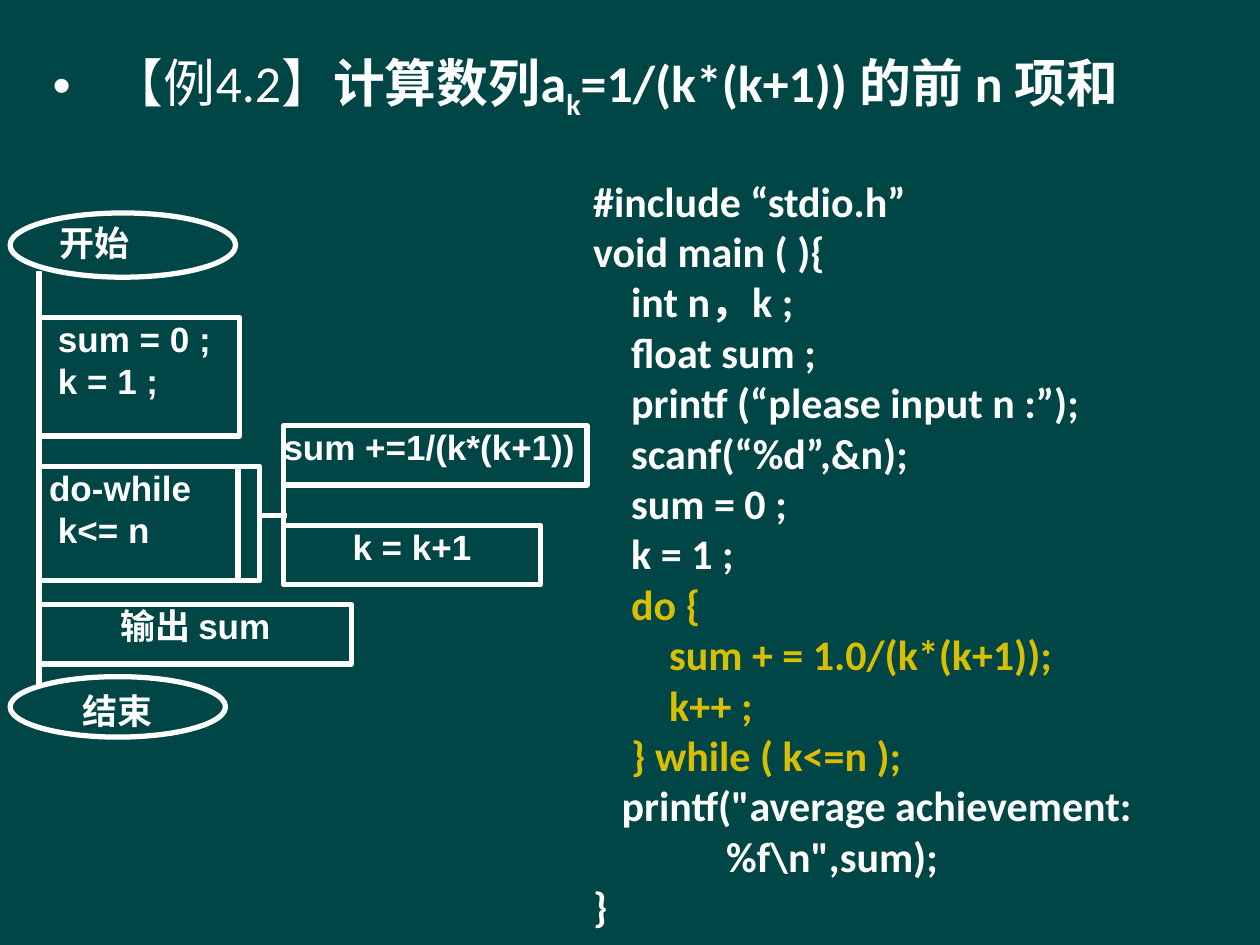
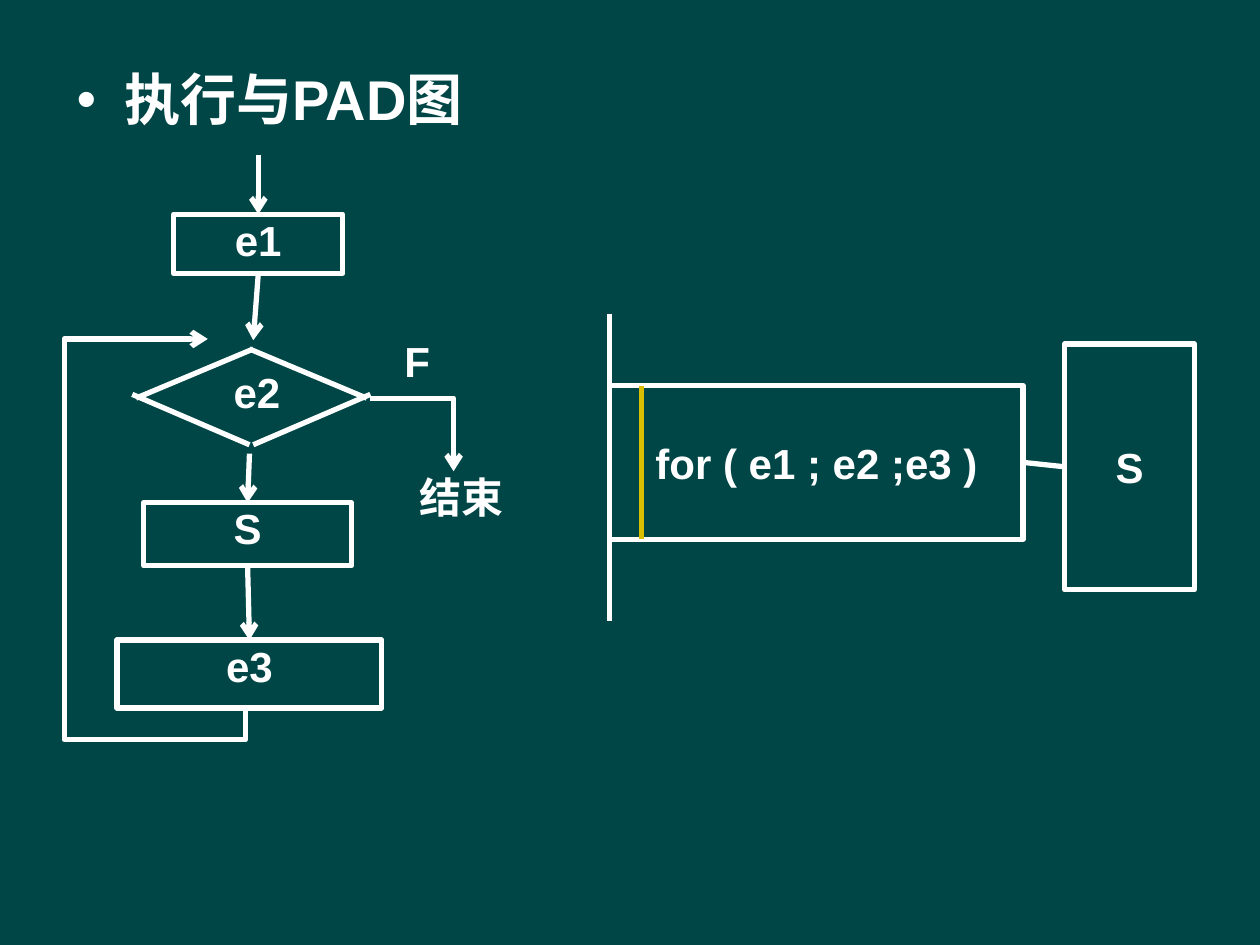
import pptx
import pptx.dml.color
import pptx.enum.shapes
import pptx.enum.text
import pptx.oxml.ns
import pptx.util
from lxml import etree

WHITE = pptx.dml.color.RGBColor(0xFF, 0xFF, 0xFF)
GOLD = pptx.dml.color.RGBColor(0xD9, 0xBE, 0x02)
TEAL = pptx.dml.color.RGBColor(0x00, 0x46, 0x46)

# The slide is a grid of 100 columns by 75 rows
COLUMNS, ROWS = 100, 75
WIDTH, HEIGHT = pptx.util.Inches(10), pptx.util.Inches(7.5)

SHAPES = pptx.enum.shapes.MSO_SHAPE
ANCHOR = pptx.enum.text.MSO_ANCHOR
LEFT = pptx.enum.text.PP_ALIGN.LEFT
CENTER = pptx.enum.text.PP_ALIGN.CENTER
TOP_SIDE, LEFT_SIDE, BOTTOM_SIDE, RIGHT_SIDE = range(4)

NO_MARGINS = {"margin_left": 0, "margin_top": 0, "margin_right": 0, "margin_bottom": 0}
LABEL = {"name": "Arial", "size": pptx.util.Pt(20), "bold": True}
BIG_LABEL = {**LABEL, "size": pptx.util.Pt(24)}
CODE = {"name": "Calibri", "size": pptx.util.Pt(24), "bold": True}
HEADING = {"name": "Calibri", "size": pptx.util.Pt(29.6)}

CODE_BEFORE_LOOP = """#include “stdio.h”
void main ( ){
    int n，k ;
    float sum ;
    printf (“please input n :”);
    scanf(“%d”,&n);
    sum = 0 ;
    k = 1 ;"""
CODE_LOOP = """    do {
        sum + = 1.0/(k*(k+1));
        k++ ;
    } while ( k<=n );"""
CODE_AFTER_LOOP = """   printf("average achievement:
              %f\\n",sum);
}"""


def column(count):
    return round(WIDTH * count / COLUMNS)


def row(count):
    return round(HEIGHT * count / ROWS)


def place(area):
    left, top, width, height = area
    return column(left), row(top), column(width), row(height)


def apply(target, values):
    for name, value in values.items():
        setattr(target, name, value)


def add_child(parent, tag, **attributes):
    return etree.SubElement(parent, pptx.oxml.ns.qn(tag), attributes)


def add_run(paragraph, text, style, color=WHITE):
    run = paragraph.add_run()
    run.text = text
    apply(run.font, style)
    run.font.color.rgb = color
    return run


def write_lines(frame, lines, style, align=LEFT):
    """Each line is its text, its colour and its indent in columns."""
    for index, (text, color, indent) in enumerate(lines):
        paragraph = frame.add_paragraph() if index else frame.paragraphs[0]
        paragraph.alignment = align
        if indent:
            paragraph._p.get_or_add_pPr().set("marL", str(column(indent)))
        add_run(paragraph, text, style, color)


def add_slide(presentation):
    slide = presentation.slides.add_slide(presentation.slide_layouts[6])
    slide.background.fill.solid()
    slide.background.fill.fore_color.rgb = TEAL
    return slide


def add_title(slide, area, runs, indent, line_spacing=1.0):
    """Each run is its text, its font values and its baseline shift."""
    frame = slide.shapes.add_textbox(*place(area)).text_frame
    frame.word_wrap = True
    paragraph = frame.paragraphs[0]
    paragraph.line_spacing = line_spacing
    properties = paragraph._p.get_or_add_pPr()
    properties.set("marL", str(column(indent)))
    properties.set("indent", str(-column(indent)))
    add_child(add_child(properties, "a:buClr"), "a:srgbClr", val=str(WHITE))
    add_child(properties, "a:buFont", typeface="Arial")
    add_child(properties, "a:buChar", char="•")
    for text, style, baseline in runs:
        run = add_run(paragraph, text, style)
        if baseline:
            run._r.get_or_add_rPr().set("baseline", str(baseline * 1000))


def add_label(slide, area, text, style, align=CENTER):
    frame = slide.shapes.add_textbox(*place(area)).text_frame
    apply(frame, {**NO_MARGINS, "word_wrap": True})
    write_lines(frame, [(text, WHITE, 0)], style, align)


def add_outline(slide, area, kind=SHAPES.RECTANGLE):
    shape = slide.shapes.add_shape(kind, *place(area))
    shape.fill.background()
    shape.shadow.inherit = False
    draw_line(shape)
    return shape


def add_box(slide, area, lines, style, align=CENTER, anchor=ANCHOR.TOP):
    """Each line is its text and its indent in columns."""
    shape = add_outline(slide, area)
    apply(shape.text_frame, {**NO_MARGINS, "word_wrap": True, "vertical_anchor": anchor})
    colored = [(text, WHITE, indent) for text, indent in lines]
    write_lines(shape.text_frame, colored, style, align)
    return shape


def draw_line(shape, color=WHITE, arrow=False):
    shape.line.color.rgb = color
    shape.line.width = pptx.util.Pt(3)
    if arrow:
        line = shape._element.spPr.find(pptx.oxml.ns.qn("a:ln"))
        add_child(line, "a:tailEnd", type="arrow")


def add_line(slide, start, end, color=WHITE, arrow=False):
    """Each end is a grid point or a pair of a shape and its side."""
    joined = [not isinstance(point[0], (int, float)) for point in (start, end)]
    free = [(0, 0) if join else point for join, point in zip(joined, (start, end))]
    connector = slide.shapes.add_connector(
        pptx.enum.shapes.MSO_CONNECTOR.STRAIGHT,
        *[place_one(count) for point in free for place_one, count in zip((column, row), point)])
    if joined[0]:
        connector.begin_connect(*start)
    if joined[1]:
        connector.end_connect(*end)
    draw_line(connector, color, arrow)
    add_child(connector._element.spPr, "a:effectLst")


def add_bent_arrow(slide, points):
    start, *others = [(column(x), row(y)) for x, y in points]
    builder = slide.shapes.build_freeform(*start)
    builder.add_line_segments(others, close=False)
    shape = builder.convert_to_shape()
    shape.fill.background()
    shape.shadow.inherit = False
    draw_line(shape, arrow=True)


def build_series_slide(presentation):
    slide = add_slide(presentation)
    bold = {**HEADING, "bold": True}
    add_title(slide, (3.2, 3.5, 94.7, 9.8), [
        ("【例4.2】", HEADING, 0), ("计算数列a", bold, 0),
        ("k", bold, -25), ("=1/(k*(k+1)) 的前 n 项和", bold, 0)], indent=4.7)

    # Problem analysis diagram: the trunk with its steps
    trunk = 3.1
    add_box(slide, (trunk, 25.2, 15.9, 9.4), [("sum = 0 ;", 1.5), ("k = 1 ;", 1.5)], LABEL, LEFT)
    add_box(slide, (trunk, 37, 17.5, 9.1), [("do-while", 0.8), ("k<= n", 1.5)], LABEL, LEFT)
    add_line(slide, (18.9, 37), (18.9, 46.1))
    add_box(slide, (trunk, 48, 24.8, 4.7), [("输出 sum", 0)], LABEL)
    add_line(slide, (trunk, 21.5), (trunk, 54.3))

    # Start and end
    add_label(slide, (4.7, 17.6, 16.2, 3.8), "开始", LABEL, LEFT)
    add_outline(slide, (0.8, 16.9, 17.9, 5.1), SHAPES.OVAL)
    add_label(slide, (0.8, 54.7, 17.1, 5), "结束", LABEL)
    add_outline(slide, (0.8, 53.7, 17.1, 4.8), SHAPES.OVAL)

    # Loop body
    body = 22.5
    add_line(slide, (20.6, 40.9), (22.8, 40.9))
    add_box(slide, (body, 33.8, 24.1, 4.7), [("sum +=1/(k*(k+1))", 0)], LABEL, LEFT)
    add_box(slide, (body, 41.7, 20.4, 4.7), [("k = k+1", 0)], LABEL)
    add_line(slide, (body, 46.4), (body, 33.8))

    # Program
    frame = slide.shapes.add_textbox(*place((46.1, 13.4, 53.6, 61))).text_frame
    frame.word_wrap = True
    parts = ((CODE_BEFORE_LOOP, WHITE), (CODE_LOOP, GOLD), (CODE_AFTER_LOOP, WHITE))
    lines = [(line, color, 0) for part, color in parts for line in part.split("\n")]
    write_lines(frame, lines, CODE)


def build_for_slide(presentation):
    slide = add_slide(presentation)
    title = {**LABEL, "size": pptx.util.Pt(32)}
    add_title(slide, (5.1, 5.2, 90, 6.3), [("执行与PAD图", title, 0)],
              indent=3.8, line_spacing=0.9)

    # Flowchart steps
    first, statement, third = [
        add_box(slide, area, [(text, 0)], BIG_LABEL) for text, area in (
            ("e1", (13.8, 17, 13.4, 4.7)),
            ("S", (11.4, 39.9, 16.5, 5)),
            ("e3", (9.3, 50.8, 21, 5.4)))]

    # Decision: four strokes that cross a little at the corners
    add_label(slide, (15.9, 29.1, 9, 4.7), "e2", BIG_LABEL)
    middle, overlap = 19.95, 0.15
    for side in (-1, 1):
        add_line(slide, (middle - side * overlap, 27.7), (middle + side * 9.15, 31.6))
        add_line(slide, (middle + side * overlap, 35.3), (middle + side * 9.45, 31.3))

    # Flow
    for start, end in (
            ((20.5, 12.3), (first, TOP_SIDE)),
            ((first, BOTTOM_SIDE), (20.1, 27)),
            ((19.8, 36), (statement, TOP_SIDE)),
            ((statement, BOTTOM_SIDE), (third, TOP_SIDE))):
        add_line(slide, start, end, arrow=True)
    add_bent_arrow(slide, [(19.5, 56.2), (19.5, 58.7), (5.1, 58.7), (5.1, 26.9), (16.5, 26.9)])
    add_bent_arrow(slide, [(29.4, 31.6), (36, 31.6), (36, 37.4)])
    add_label(slide, (32.1, 26.6, 4.5, 4.4), "F", BIG_LABEL, LEFT)
    add_label(slide, (32.7, 37.4, 7.8, 6.5), "结束", BIG_LABEL)

    # Problem analysis diagram of the loop
    loop = add_box(slide, (48.4, 30.6, 32.8, 12.2), [("for ( e1 ; e2 ;e3 )", 0)],
                   BIG_LABEL, anchor=ANCHOR.MIDDLE)
    add_line(slide, (50.9, 30.6), (50.9, 42.8), GOLD)
    add_line(slide, (48.4, 24.9), (48.4, 49.3))
    body = add_box(slide, (84.5, 27.3, 10.3, 19.5), [("S", 0)],
                   BIG_LABEL, anchor=ANCHOR.MIDDLE)
    add_line(slide, (loop, RIGHT_SIDE), (body, LEFT_SIDE))


def main():
    presentation = pptx.Presentation()
    apply(presentation, {"slide_width": WIDTH, "slide_height": HEIGHT})
    build_series_slide(presentation)
    build_for_slide(presentation)
    presentation.save("out.pptx")


if __name__ == "__main__":
    main()
